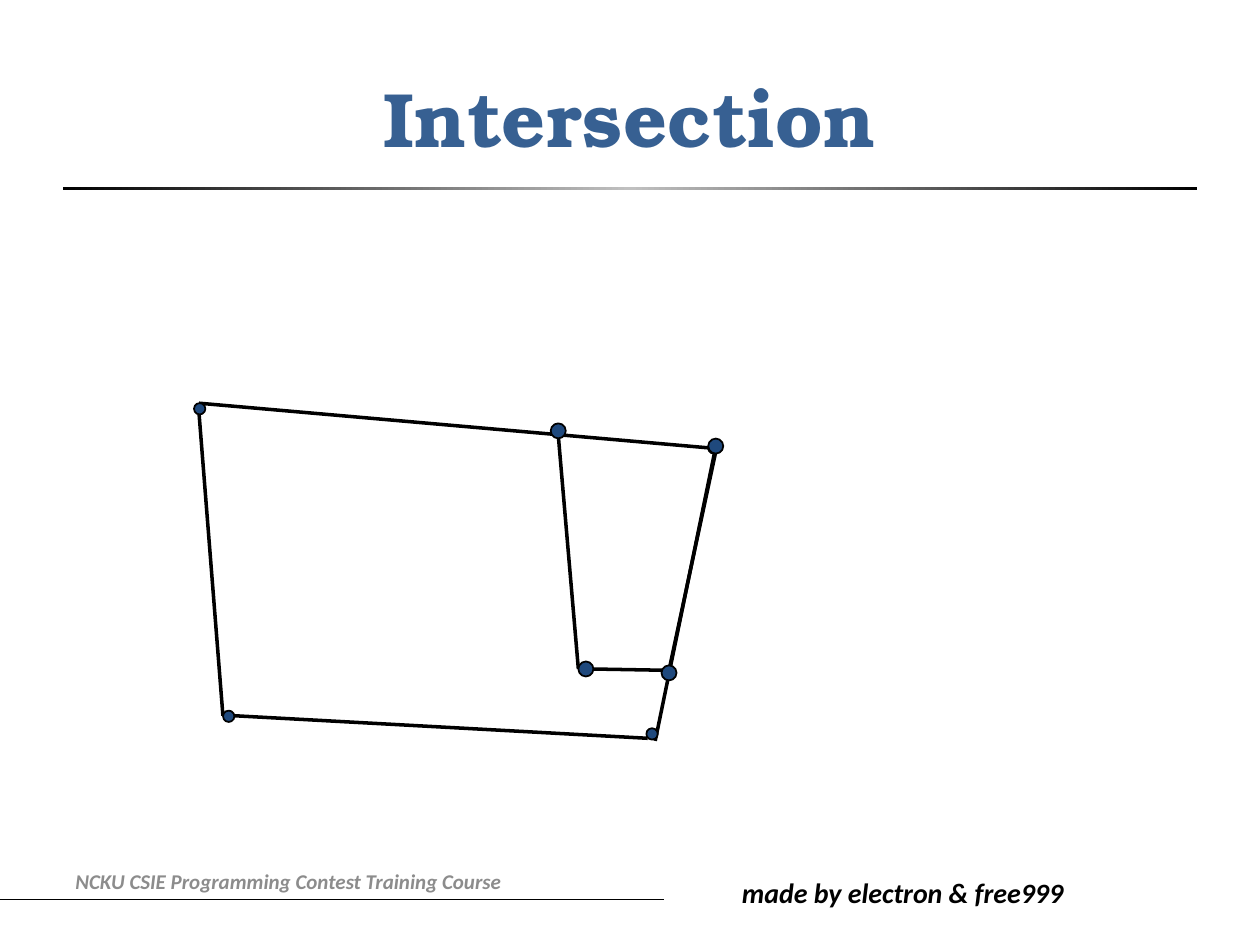
from lxml.etree import SubElement
from pptx import Presentation
from pptx.dml.color import RGBColor
from pptx.enum.shapes import MSO_CONNECTOR, MSO_SHAPE
from pptx.enum.text import MSO_ANCHOR as Anchor, PP_ALIGN as Align
from pptx.oxml.ns import qn
from pptx.util import Pt

COLORS = {"ink": "000000", "silver": "C0C0C0", "title": "376092",
          "footer": "8C8C8C", "vertex": "1F497D"}

# Edges and vertex centres, in points from the diagram's top left corner
OUTER_EDGES = [((22.9, 179), (259.1, 191.9)), ((297.2, 29.2), (263.4, 193.4)),
               ((2.8, 6.9), (16.4, 179)), ((298, 26.3), (2.8, 0.4))]
OUTER_VERTICES = [(261.6, 189.4), (296.9, 26), (3.1, 3.6), (19.7, 179.3)]
INNER_EDGES = [((227.4, 152.3), (267.7, 153)), ((208, 18.4), (219.5, 152.3)),
               ((298.7, 24.9), (271.3, 153))]
INNER_VERTICES = [(223.8, 152.3), (271.3, 154.5), (208, 16.2), (298, 24.9)]


def color(name):
    return RGBColor.from_string(COLORS[name])


def place(shape, box):
    shape.left, shape.top, shape.width, shape.height = map(Pt, box)


def write(shape, text, *, size, ink, font="Calibri", italic=False,
          align=Align.LEFT, anchor=Anchor.MIDDLE, wrap=True):
    frame = shape.text_frame
    frame.word_wrap = wrap
    frame.vertical_anchor = anchor
    paragraph = frame.paragraphs[0]
    paragraph.alignment = align
    run = paragraph.add_run()
    run.text = text
    run.font.name = font
    run.font.size = Pt(size)
    run.font.bold = True
    run.font.italic = italic
    run.font.color.rgb = color(ink)


def add_line(slide, start, end, width):
    line = slide.shapes.add_connector(MSO_CONNECTOR.STRAIGHT,
                                      *map(Pt, (*start, *end)))
    line.line.color.rgb = color("ink")
    line.line.width = Pt(width)
    SubElement(line._element.spPr, qn("a:effectLst"))


def add_vertex(slide, x, y, diameter):
    """Draw a dot centred on x, y."""
    dot = slide.shapes.add_shape(
        MSO_SHAPE.OVAL, Pt(x - diameter / 2), Pt(y - diameter / 2),
        Pt(diameter), Pt(diameter))
    dot.shadow.inherit = False
    dot.fill.solid()
    dot.fill.fore_color.rgb = color("vertex")
    dot.line.color.rgb = color("ink")
    dot.line.width = Pt(1)


def add_heading(slide, box):
    """Fill the title and put the gradient rule near its lower edge."""
    left, top, width, height = box
    rule = slide.shapes.add_shape(MSO_SHAPE.RECTANGLE, Pt(left),
                                  Pt(top + height - 5), Pt(width), Pt(2.2))
    rule.shadow.inherit = False
    rule.line.fill.background()
    rule.fill.gradient()
    rule.fill.gradient_angle = 0
    stops = rule.fill._fill._gradFill.find(qn("a:gsLst"))
    for stop in list(stops):
        stops.remove(stop)
    for position, name in ((0, "ink"), (50000, "silver"), (100000, "ink")):
        stop = SubElement(stops, qn("a:gs"), pos=str(position))
        SubElement(stop, qn("a:srgbClr"), val=COLORS[name])
    title = slide.shapes.title
    place(title, box)
    write(title, "Intersection", size=44, ink="title",
          font="TeX Gyre Bonum", align=Align.CENTER)


def add_polygon(slide, box, edges, vertices, diameter):
    left, top = box[:2]
    for (x1, y1), (x2, y2) in edges:
        add_line(slide, (left + x1, top + y1), (left + x2, top + y2), 2)
    for x, y in vertices:
        add_vertex(slide, left + x, top + y, diameter)


def add_footer(slide, box):
    left, top, width, height = box
    rule_y = top + 25.2
    add_line(slide, (left - 106.6, rule_y), (left + 343.4, rule_y), 0.5)
    course = slide.shapes.add_textbox(Pt(left), Pt(top), Pt(335.5), Pt(height))
    write(course, "NCKU CSIE Programming Contest Training Course",
          size=12, ink="footer", italic=True)
    authors_left = left + 380.9
    authors = slide.shapes.add_textbox(Pt(authors_left), Pt(top + 7.9),
                                       Pt(left + width - authors_left), Pt(26.6))
    write(authors, "made by electron & free999", size=16, ink="ink",
          italic=True, anchor=Anchor.TOP, wrap=False)


def main():
    presentation = Presentation()
    presentation.slide_width, presentation.slide_height = Pt(720), Pt(540)
    slide = presentation.slides.add_slide(presentation.slide_layouts[5])
    add_heading(slide, (36, 21.6, 648, 90))
    diagram = (111, 230, 303, 194)
    add_polygon(slide, diagram, OUTER_EDGES, OUTER_VERTICES, 6.5)
    add_polygon(slide, diagram, INNER_EDGES, INNER_VERTICES, 8.6)
    add_footer(slide, (36, 488.9, 599.8, 28.8))
    presentation.save("out.pptx")


if __name__ == "__main__":
    main()
